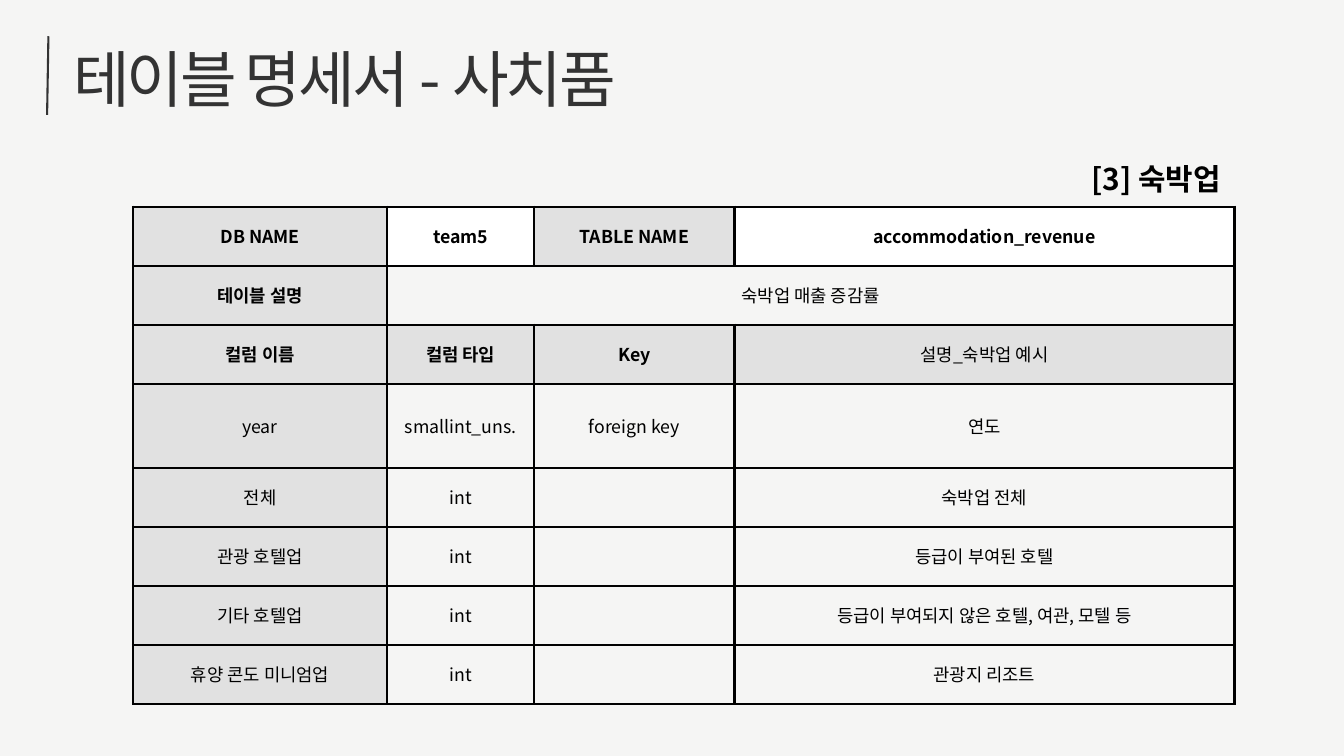
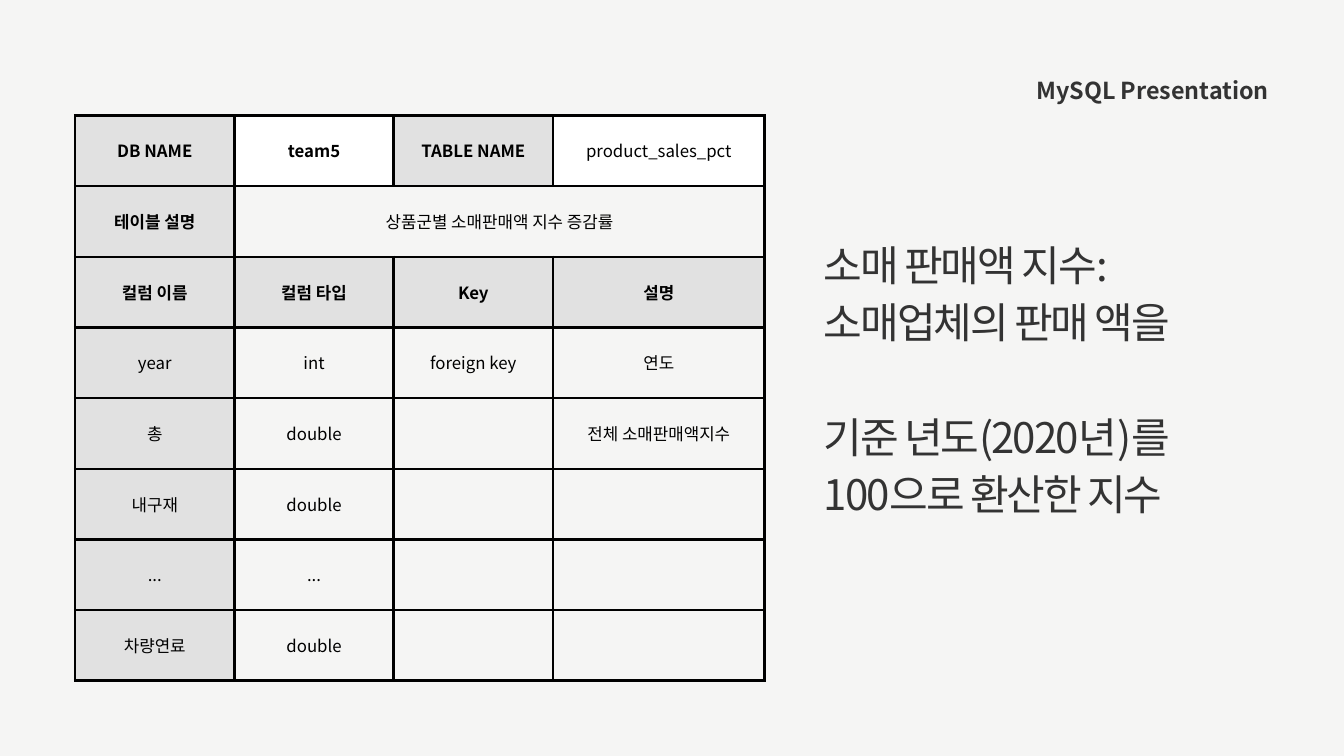
import pptx
import pptx.dml.color
import pptx.enum.shapes
import pptx.enum.text
import pptx.oxml
import pptx.oxml.ns
import pptx.oxml.xmlchemy
import pptx.util

Cm = pptx.util.Cm
Pt = pptx.util.Pt
ALIGN = pptx.enum.text.PP_ALIGN

FONT = "Noto Sans CJK KR"
COLOURS = {
    "page": "F5F5F4",
    "ink": "333333",
    "black": "000000",
    "label": "E1E1E1",
    "value": "FFFFFF",
}

LODGING_ROWS = [
    ["DB NAME", "team5", "TABLE NAME", "accommodation_revenue"],
    ["테이블 설명", "숙박업 매출 증감률", "", ""],
    ["컬럼 이름", "컬럼 타입", "Key", "설명_숙박업 예시"],
    ["year", "smallint_uns.", "foreign key", "연도"],
    ["전체", "int", "", "숙박업 전체"],
    ["관광 호텔업", "int", "", "등급이 부여된 호텔"],
    ["기타 호텔업", "int", "", "등급이 부여되지 않은 호텔, 여관, 모텔 등"],
    ["휴양 콘도 미니엄업", "int", "", "관광지 리조트"],
]
SALES_ROWS = [
    ["DB NAME", "team5", "TABLE NAME", "product_sales_pct"],
    ["테이블 설명", "상품군별 소매판매액 지수 증감률", "", ""],
    ["컬럼 이름", "컬럼 타입", "Key", "설명"],
    ["year", "int", "foreign key", "연도"],
    ["총", "double", "", "전체 소매판매액지수"],
    ["내구재", "double", "", ""],
    ["...", "...", "", ""],
    ["차량연료", "double", "", ""],
]


def rgb(name):
    return pptx.dml.color.RGBColor.from_string(COLOURS[name])


def write_text(frame, lines, size, leading, colour="ink", bold=False,
               align=ALIGN.LEFT, tracking=0, gaps=None):
    """Fill a text frame; gaps maps a line index to the points before it."""
    for index, line in enumerate(lines):
        para = frame.paragraphs[0] if index == 0 else frame.add_paragraph()
        para.alignment = align
        para.line_spacing = Pt(leading)
        if gaps and index in gaps:
            para.space_before = Pt(gaps[index])
        span = para.add_run()
        span.text = line
        span.font.size = Pt(size)
        span.font.bold = bold
        span.font.color.rgb = rgb(colour)
        span.font.name = FONT
        properties = span.font._element
        east_asian = pptx.oxml.xmlchemy.OxmlElement("a:ea")
        east_asian.set("typeface", FONT)
        properties.append(east_asian)
        if tracking:
            properties.set("spc", str(round(tracking * 100)))


def add_text_box(page, box, lines, right_inset=0, **text_format):
    frame = page.shapes.add_textbox(*map(Cm, box)).text_frame
    frame.word_wrap = True
    frame.auto_size = pptx.enum.text.MSO_AUTO_SIZE.SHAPE_TO_FIT_TEXT
    frame.margin_left = frame.margin_top = frame.margin_bottom = 0
    frame.margin_right = Cm(right_inset)
    write_text(frame, lines, **text_format)


def add_page(deck):
    page = deck.slides.add_slide(deck.slide_layouts[6])
    page.background.fill.solid()
    page.background.fill.fore_color.rgb = rgb("page")
    return page


def add_title(page, box, text):
    """Title with a slightly slanted rule on its left."""
    left, top, _, height = box
    rule = page.shapes.add_connector(
        pptx.enum.shapes.MSO_CONNECTOR.STRAIGHT,
        Cm(left - 0.99), Cm(top + height), Cm(left - 0.94), Cm(top - 0.18))
    rule.line.color.rgb = rgb("ink")
    rule.line.width = Pt(2.25)
    rule._element.spPr.append(pptx.oxml.xmlchemy.OxmlElement("a:effectLst"))
    add_text_box(page, box, [text], size=66, leading=79.2, tracking=-3.2)


def set_borders(cell, width=3):
    properties = cell._tc.get_or_add_tcPr()
    for position, side in enumerate("LRTB"):
        border = pptx.oxml.parse_xml(
            f'<a:ln{side} {pptx.oxml.ns.nsdecls("a")} w="{Pt(width)}">'
            f'<a:solidFill><a:srgbClr val="{COLOURS["black"]}"/></a:solidFill>'
            f'</a:ln{side}>')
        properties.insert(position, border)


def fill_cell(cell, row, column):
    """Grey for labels, white for the names in the top row, else clear."""
    if column == 0 or row == 2 or (row, column) == (0, 2):
        cell.fill.solid()
        cell.fill.fore_color.rgb = rgb("label")
    elif row == 0:
        cell.fill.solid()
        cell.fill.fore_color.rgb = rgb("value")
    else:
        cell.fill.background()


def add_specification(page, corner, widths, heights, rows, size, plain):
    """Table specification; plain is the heading cell that is not bold."""
    left, top = corner
    table = page.shapes.add_table(
        len(rows), len(widths), Cm(left), Cm(top),
        Cm(sum(widths)), Cm(sum(heights))).table
    table.first_row = table.horz_banding = False
    for column, width in zip(table.columns, widths):
        column.width = Cm(width)
    for row, height in zip(table.rows, heights):
        row.height = Cm(height)
    table.cell(1, 1).merge(table.cell(1, 3))
    for row, texts in enumerate(rows):
        for column, text in enumerate(texts):
            cell = table.cell(row, column)
            cell.margin_left = cell.margin_right = Cm(0.53)
            cell.margin_top = cell.margin_bottom = Cm(0.53)
            cell.vertical_anchor = pptx.enum.text.MSO_ANCHOR.MIDDLE
            fill_cell(cell, row, column)
            set_borders(cell)
            if text:
                bold = row < 3 and (row, column) not in [(1, 1), plain]
                write_text(cell.text_frame, [text], size=size,
                           leading=size * 1.4, colour="black", bold=bold,
                           align=ALIGN.CENTER)


def build_lodging_page(deck):
    page = add_page(deck)
    add_title(page, (2.77, 1.55, 31.09, 2.79), "테이블 명세서 - 사치품")
    heights = [2.23] * 3 + [3.18] + [2.23] * 4
    add_specification(page, (5.03, 7.82), [9.6, 5.56, 7.57, 18.9], heights,
                      LODGING_ROWS, size=19, plain=(2, 3))
    add_text_box(page, (34.72, 6.07, 11.96, 1.37), ["[3] 숙박업"],
                 right_inset=0.54, size=32, leading=38.4, colour="black",
                 bold=True, align=ALIGN.RIGHT)


def build_sales_page(deck):
    page = add_page(deck)
    add_text_box(page, (33.96, 2.69, 14, 1.19), ["MySQL Presentation"],
                 size=25, leading=35, bold=True, align=ALIGN.RIGHT)
    add_specification(page, (2.84, 4.37), [6.02] * 3 + [8], [2.67] * 8,
                      SALES_ROWS, size=18, plain=(0, 3))
    note = ["소매 판매액 지수:", "소매업체의 판매 액을",
            "기준 년도(2020년)를", "100으로 환산한 지수"]
    add_text_box(page, (31.14, 8.81, 16.84, 10.64), note, size=45,
                 leading=61.2, tracking=-2.2, gaps={2: 61.2})


def main():
    deck = pptx.Presentation()
    deck.slide_width = Cm(50.8)
    deck.slide_height = Cm(50.8 * 9 / 16)
    build_lodging_page(deck)
    build_sales_page(deck)
    deck.save("out.pptx")


if __name__ == "__main__":
    main()
